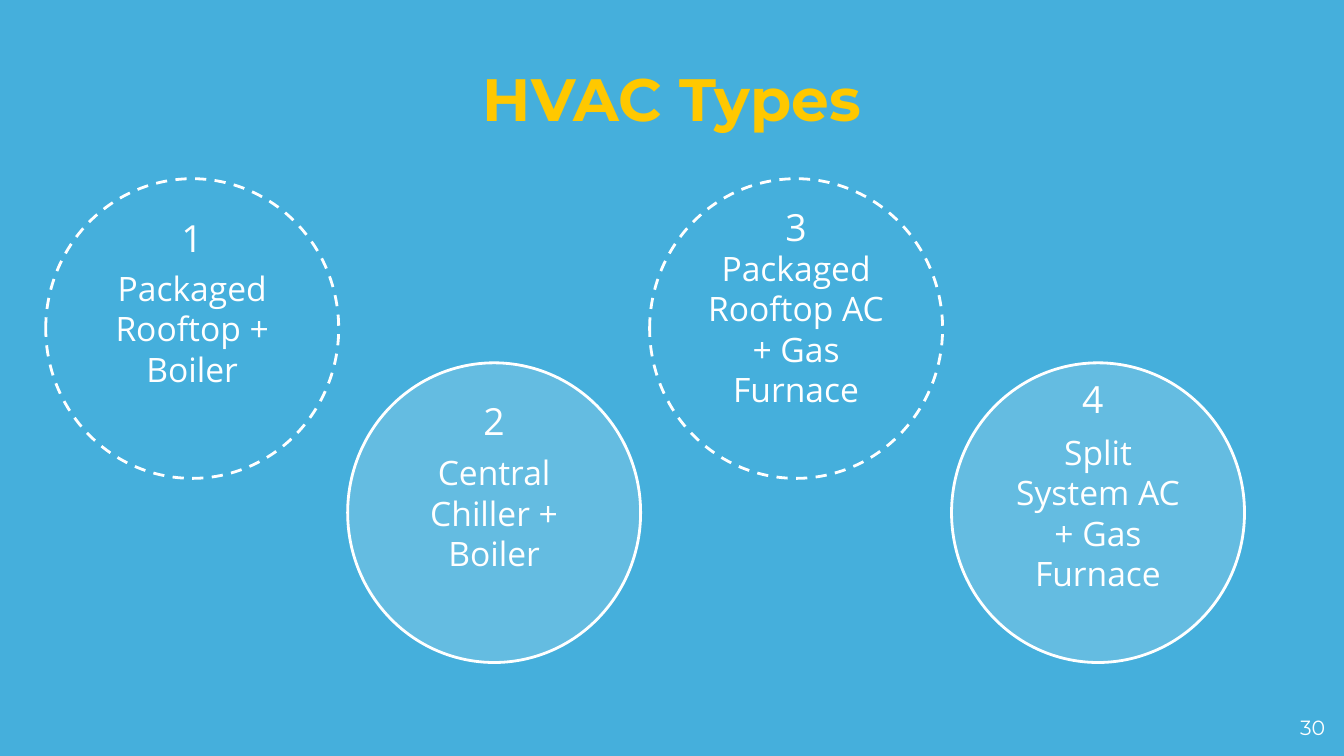
from lxml.etree import SubElement
from pptx import Presentation
from pptx.dml.color import RGBColor
from pptx.enum.dml import MSO_LINE
from pptx.enum.shapes import MSO_SHAPE
from pptx.enum.text import MSO_ANCHOR, MSO_AUTO_SIZE, PP_ALIGN
from pptx.oxml.ns import qn
from pptx.util import Inches, Pt

# Content: number, label, number box (centre offset, top, width)
TITLE = "HVAC Types"
PAGE_NUMBER = "30"
HVAC_TYPES = [
    ("1", "Packaged Rooftop + Boiler", (0, 1.5, 0.6)),
    ("2", "Central Chiller + Boiler", (0, 2.86, 0.81)),
    ("3", "Packaged Rooftop AC + Gas Furnace", (0, 1.42, 0.91)),
    ("4", "Split System AC + Gas Furnace", (-0.04, 2.7, 0.72)),
]

THEME = {
    "background": RGBColor(0x45, 0xAF, 0xDC),
    "accent": RGBColor(0xFF, 0xC8, 0x00),
    "white": RGBColor(0xFF, 0xFF, 0xFF),
    "heading_font": "Montserrat",
    "body_font": "Open Sans",
    "title_size": 32,
    "number_size": 20,
    "label_size": 18,
    "page_size": 11,
    "fill_opacity": 17,
}

# Widescreen slide, 16 to 9
SLIDE_WIDTH = Inches(10)
SLIDE_HEIGHT = SLIDE_WIDTH * 9 // 16

# Circle layout: equal steps across, alternating upper and lower rows
CIRCLE_WIDTH, CIRCLE_HEIGHT = 2.18, 2.23
FIRST_LEFT, LAST_LEFT = 0.34, 7.08
STEP = (LAST_LEFT - FIRST_LEFT) / (len(HVAC_TYPES) - 1)
ROW_TOPS = (1.33, 2.7)
NUMBER_HEIGHT = 0.54


def write_text(shape, text, size, font, color="white", align=PP_ALIGN.CENTER,
               anchor=MSO_ANCHOR.TOP, bold=False, auto_size=MSO_AUTO_SIZE.NONE):
    frame = shape.text_frame
    frame.text = text
    frame.word_wrap = True
    frame.auto_size = auto_size
    frame.vertical_anchor = anchor
    frame.margin_left = frame.margin_right = Inches(0.1)
    frame.margin_top = frame.margin_bottom = Inches(0.1)
    paragraph = frame.paragraphs[0]
    paragraph.alignment = align
    run_font = paragraph.runs[0].font
    run_font.name = THEME[font]
    run_font.size = Pt(THEME[size])
    run_font.bold = bold
    run_font.color.rgb = THEME[color]


def add_text(slide, box, *args, **kwargs):
    shape = slide.shapes.add_textbox(*map(Inches, box))
    write_text(shape, *args, **kwargs)


def add_circle(slide, left, top, label, filled):
    circle = slide.shapes.add_shape(
        MSO_SHAPE.OVAL, *map(Inches, (left, top, CIRCLE_WIDTH, CIRCLE_HEIGHT)))
    circle.shadow.inherit = False
    circle.line.color.rgb = THEME["white"]
    circle.line.width = Pt(1.5)
    if filled:
        circle.fill.solid()
        circle.fill.fore_color.rgb = THEME["white"]
        color = circle.fill._xPr.find(qn("a:solidFill"))[0]
        SubElement(color, qn("a:alpha"), val=str(THEME["fill_opacity"] * 1000))
    else:
        circle.fill.background()
        circle.line.dash_style = MSO_LINE.DASH
    write_text(circle, label, "label_size", "body_font", anchor=MSO_ANCHOR.MIDDLE)


def main():
    presentation = Presentation()
    presentation.slide_width = SLIDE_WIDTH
    presentation.slide_height = SLIDE_HEIGHT
    slide = presentation.slides.add_slide(presentation.slide_layouts[5])
    slide.background.fill.solid()
    slide.background.fill.fore_color.rgb = THEME["background"]

    # Title
    title = slide.shapes.title
    title.left, title.top, title.width, title.height = map(Inches, (0.5, 0.36, 9, 0.63))
    write_text(title, TITLE, "title_size", "heading_font", "accent", bold=True)

    # Circles with their numbers
    for index, (number, label, (offset, number_top, width)) in enumerate(HVAC_TYPES):
        left = FIRST_LEFT + index * STEP
        row = index % 2
        add_circle(slide, left, ROW_TOPS[row], label, filled=row == 1)
        number_left = left + CIRCLE_WIDTH / 2 + offset - width / 2
        add_text(slide, (number_left, number_top, width, NUMBER_HEIGHT), number,
                 "number_size", "body_font", auto_size=MSO_AUTO_SIZE.SHAPE_TO_FIT_TEXT)

    # Page number
    add_text(slide, (9.36, 5.22, 0.6, 0.32), PAGE_NUMBER, "page_size",
             "heading_font", align=PP_ALIGN.RIGHT)

    presentation.save("out.pptx")


if __name__ == "__main__":
    main()
